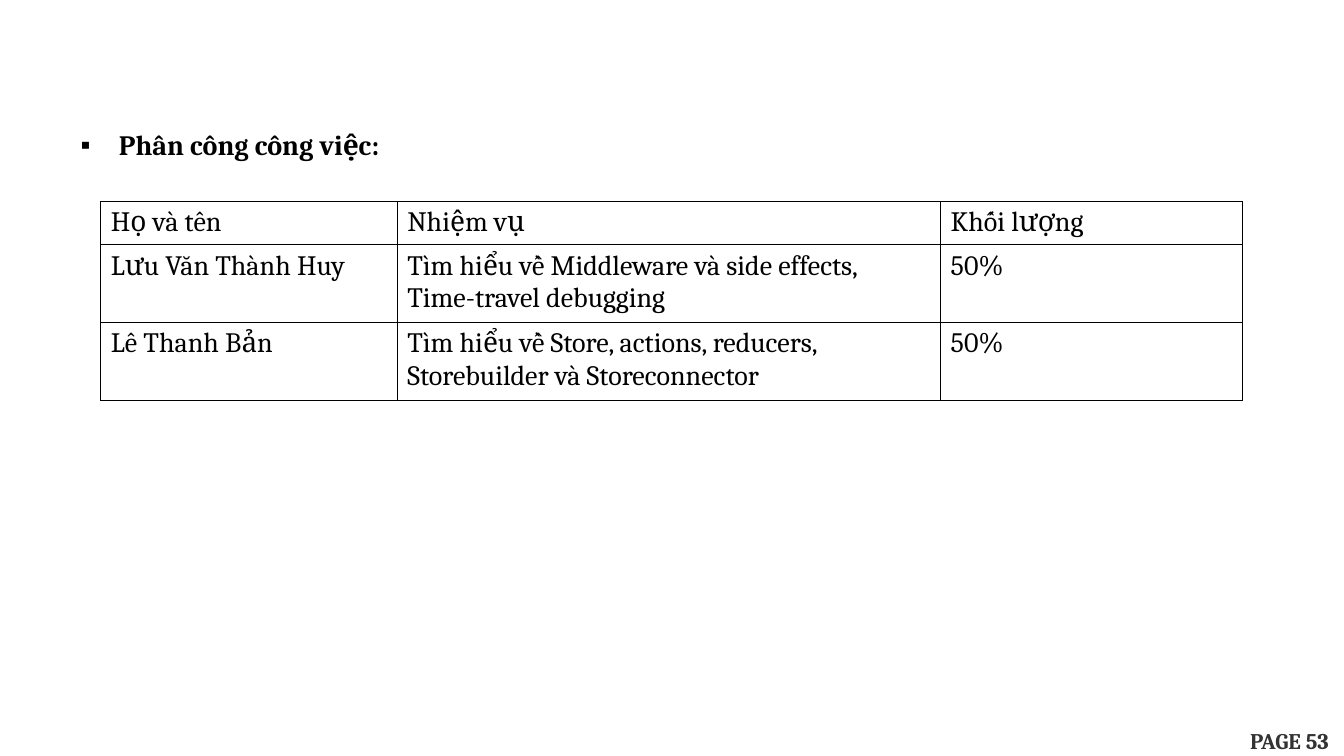
import dataclasses

import lxml.etree
import pptx
import pptx.dml.color
import pptx.enum.shapes
import pptx.enum.text
import pptx.oxml.ns
import pptx.util

Inches = pptx.util.Inches
Pt = pptx.util.Pt
qn = pptx.oxml.ns.qn


@dataclasses.dataclass(frozen=True)
class Theme:
    """Colours, font and type sizes of the slide."""
    backdrop: str = "1B192E"
    paper: str = "FFFFFF"
    ink: str = "000000"
    page_ink: str = "333333"
    font: str = "Cambria"
    body_size: int = 20
    page_size: int = 16
    border: float = 0.75


THEME = Theme()
DUTIES = [
    ["Họ và tên", "Nhiệm vụ", "Khối lượng"],
    ["Lưu Văn Thành Huy",
     "Tìm hiểu về Middleware và side effects, Time-travel debugging", "50%"],
    ["Lê Thanh Bản",
     "Tìm hiểu về Store, actions, reducers, Storebuilder và Storeconnector", "50%"],
]
COLUMN_WIDTHS = [2.94, 5.39, 2.99]
ROW_HEIGHTS = [0.43, 0.77, 0.77]


def apply(target, formats):
    """Set every attribute in formats on target."""
    for attribute, value in formats.items():
        setattr(target, attribute, value)


def write(frame, text, size, colour, bold=False):
    """Put one formatted paragraph in a text frame and return it."""
    paragraph = frame.paragraphs[0]
    run = paragraph.add_run()
    run.text = text
    apply(run.font, {"name": THEME.font, "size": Pt(size), "bold": bold})
    run.font.color.rgb = pptx.dml.color.RGBColor.from_string(colour)
    return paragraph


def place(shape, box):
    """Move a shape to a box given in inches."""
    apply(shape, dict(zip(("left", "top", "width", "height"), map(Inches, box))))


def add_paper(slide, box):
    """Lay the white sheet over the dark background."""
    background = slide.background.fill
    background.solid()
    background.fore_color.rgb = pptx.dml.color.RGBColor.from_string(THEME.backdrop)
    paper = slide.shapes.add_shape(
        pptx.enum.shapes.MSO_SHAPE.RECTANGLE, *map(Inches, box))
    paper.shadow.inherit = False
    paper.fill.solid()
    paper.fill.fore_color.rgb = pptx.dml.color.RGBColor.from_string(THEME.paper)
    paper.line.fill.background()
    slide.shapes.element.insert(2, paper.element)


def add_heading(slide, box):
    """Write the bulleted heading in the body placeholder."""
    heading = slide.placeholders[1]
    place(heading, box)
    apply(heading.text_frame, {
        "word_wrap": True,
        "auto_size": pptx.enum.text.MSO_AUTO_SIZE.NONE,
        "vertical_anchor": pptx.enum.text.MSO_ANCHOR.TOP,
    })
    paragraph = write(heading.text_frame, "Phân công công việc:",
                      THEME.body_size, THEME.ink, bold=True)
    apply(paragraph, {"line_spacing": 1.5, "space_before": Pt(0)})
    properties = paragraph._p.get_or_add_pPr()
    properties.set("marL", str(Inches(0.38)))
    properties.set("indent", str(-Inches(0.38)))
    lxml.etree.SubElement(properties, qn("a:buFont"), typeface="Arial")
    lxml.etree.SubElement(properties, qn("a:buChar"), char="▪")


def add_borders(cell):
    """Draw a thin line on all four sides of a cell."""
    properties = cell._tc.get_or_add_tcPr()
    for side in ("a:lnL", "a:lnR", "a:lnT", "a:lnB"):
        line = lxml.etree.SubElement(properties, qn(side), w=str(Pt(THEME.border)))
        fill = lxml.etree.SubElement(line, qn("a:solidFill"))
        lxml.etree.SubElement(fill, qn("a:srgbClr"), val=THEME.ink)


def add_duties(slide, box):
    """Add the table of people, tasks and workload."""
    duties = slide.shapes.add_table(
        len(DUTIES), len(COLUMN_WIDTHS), *map(Inches, box)).table
    apply(duties, {"first_row": False, "horz_banding": False})
    for column, width in zip(duties.columns, COLUMN_WIDTHS):
        column.width = Inches(width)
    for row, height, texts in zip(duties.rows, ROW_HEIGHTS, DUTIES):
        row.height = Inches(height)
        for cell, text in zip(row.cells, texts):
            write(cell.text_frame, text, THEME.body_size, THEME.ink)
            add_borders(cell)
            cell.fill.background()


def add_page_number(slide, box):
    """Write the page label in the bottom corner."""
    page = slide.shapes.add_textbox(*map(Inches, box))
    page.text_frame.word_wrap = False
    write(page.text_frame, "PAGE 53", THEME.page_size, THEME.page_ink, bold=True)


def add_assignment_slide(deck, box):
    """Build the work assignment slide inside the given box."""
    left, top, width, height = box
    slide = deck.slides.add_slide(deck.slide_layouts[1])
    title = slide.shapes.title.element
    title.getparent().remove(title)
    add_paper(slide, box)
    add_heading(slide, (left + 0.7, top + 1.05, 10.63, 0.94))
    add_duties(slide, (left + 1, top + 2, sum(COLUMN_WIDTHS), sum(ROW_HEIGHTS)))
    add_page_number(slide, (left + 12.3, top + 7.16, width - 12.3, 0.17))


def main():
    """Create and save the deck."""
    deck = pptx.Presentation()
    width, height = 13.33, 7.5
    apply(deck, {"slide_width": Inches(width), "slide_height": Inches(height)})
    add_assignment_slide(deck, (0, 0, width, height))
    deck.save("out.pptx")


if __name__ == "__main__":
    main()
